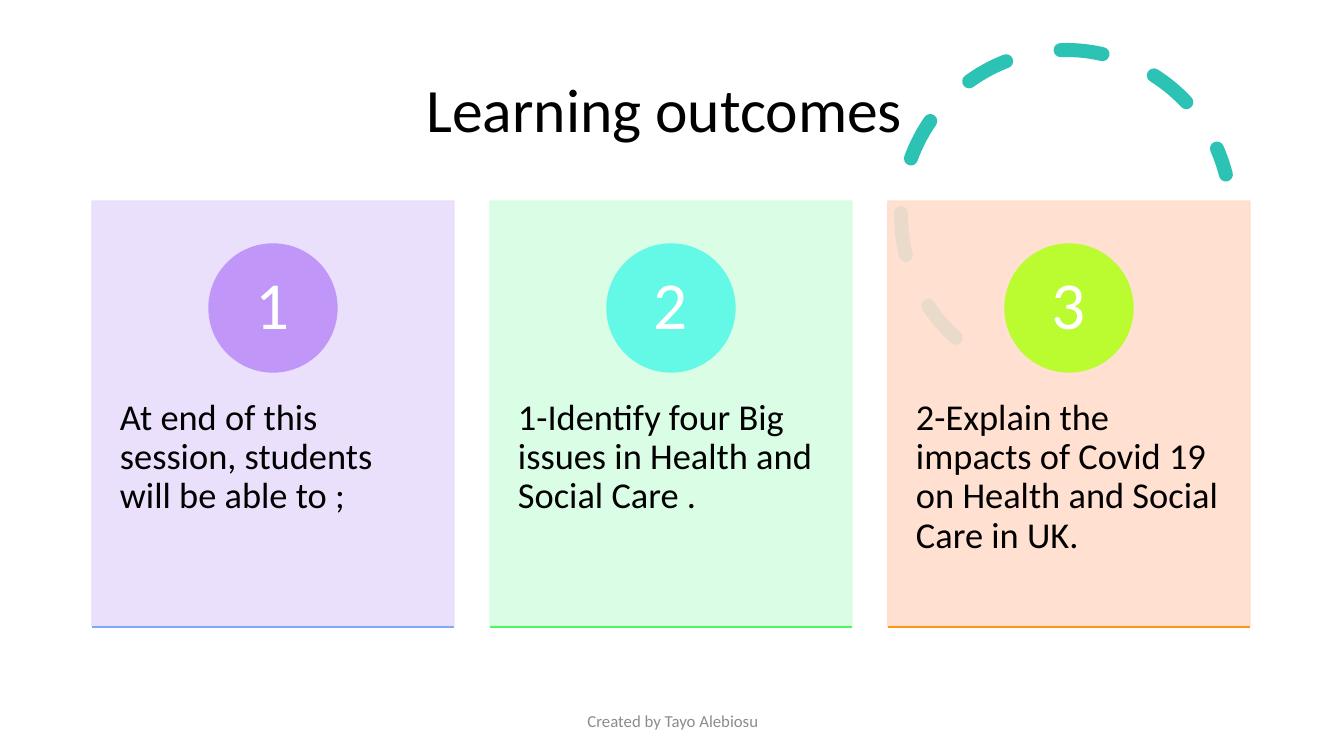
from dataclasses import dataclass

from pptx import Presentation
from pptx.dml.color import RGBColor as Rgb
from pptx.enum.dml import MSO_LINE_DASH_STYLE as Dash
from pptx.enum.shapes import MSO_CONNECTOR_TYPE as Link, MSO_SHAPE as Shape
from pptx.enum.text import MSO_VERTICAL_ANCHOR as Anchor, PP_PARAGRAPH_ALIGNMENT as Align
from pptx.oxml.ns import qn
from pptx.oxml.xmlchemy import OxmlElement as Element
from pptx.util import Pt

EMU_PER_PX = 914400 / 100.8


@dataclass(frozen=True)
class Theme:
    font: str = "Calibri"
    ink: str = "000000"
    number_ink: str = "FFFFFF"
    credit_ink: str = "8C8C8C"
    swirl: str = "2CC3B4"
    panels: tuple = ("E8DDFC", "D5FDE3", "FFDDCC")
    badges: tuple = ("C097F8", "64F9E6", "BAFC2F")
    rules: tuple = ("7EA9F8", "4AFA5C", "FF9514")
    title_size: int = 44
    number_size: int = 48
    body_size: int = 26
    credit_size: int = 12
    hairline: int = 1
    swirl_width: int = 10
    panel_alpha: int = 90


def px(count):
    return round(count * EMU_PER_PX)


def assign(target, values):
    for name, value in values.items():
        setattr(target, name, value)


class OutcomeSlide:
    """Draws the parts of the learning outcomes slide in one theme."""

    def __init__(self, deck, theme):
        self.theme = theme
        self.slide = deck.slides.add_slide(deck.slide_layouts[6])

    def stroke(self, shape, color, width):
        shape.line.fill.solid()
        shape.line.fill.fore_color.rgb = Rgb.from_string(color)
        shape.line.width = Pt(width)

    def letter(self, shape, words, size, color, align=Align.LEFT, anchor=Anchor.MIDDLE,
               inset=(10, 5), spacing=0.9):
        side, edge = map(px, inset)
        frame = shape.text_frame
        assign(frame, {"word_wrap": True, "vertical_anchor": anchor,
                       "margin_left": side, "margin_right": side,
                       "margin_top": edge, "margin_bottom": edge})
        paragraph = frame.paragraphs[0]
        assign(paragraph, {"text": words, "alignment": align, "line_spacing": spacing})
        font = paragraph.runs[0].font
        assign(font, {"name": self.theme.font, "size": Pt(size)})
        font.color.rgb = Rgb.from_string(color)

    def text(self, place, words, size, color, **layout):
        box = self.slide.shapes.add_textbox(*map(px, place))
        self.letter(box, words, size, color, **layout)

    def block(self, kind, place, color, alpha=100):
        block = self.slide.shapes.add_shape(kind, *map(px, place))
        block.shadow.inherit = False
        block.fill.solid()
        block.fill.fore_color.rgb = Rgb.from_string(color)
        self.stroke(block, color, self.theme.hairline)
        if alpha < 100:
            for tint in block.element.spPr.iter(qn("a:srgbClr")):
                opacity = Element("a:alpha")
                opacity.set("val", str(alpha * 1000))
                tint.append(opacity)
        return block

    def rule(self, left, top, width, color):
        rule = self.slide.shapes.add_connector(
            Link.STRAIGHT, *map(px, (left, top, left + width, top)))
        self.stroke(rule, color, self.theme.hairline)
        rule.element.spPr.append(Element("a:effectLst"))

    def swirl(self, place, start, turn):
        swirl = self.slide.shapes.add_shape(Shape.ARC, *map(px, place))
        swirl.shadow.inherit = False
        swirl.fill.background()
        swirl.adjustments[0] = start * 60000 / 100000
        swirl.adjustments[1] = 0
        swirl.rotation = turn
        self.stroke(swirl, self.theme.swirl, self.theme.swirl_width)
        swirl.line.dash_style = Dash.DASH
        swirl.element.spPr.find(qn("a:ln")).set("cap", "rnd")

    def card(self, left, number, outcome, panel, badge, rule):
        theme = self.theme
        width = 362
        self.block(Shape.RECTANGLE, (left, 201, width, 425), panel, theme.panel_alpha)
        self.text((left, 363, width, 255), outcome, theme.body_size, theme.ink,
                  anchor=Anchor.TOP, inset=(28, 36))
        circle = self.block(Shape.OVAL, (left + 117, 244, 128, 128), badge)
        self.letter(circle, str(number), theme.number_size, theme.number_ink,
                    align=Align.CENTER, inset=(10, 1))
        self.rule(left, 627, width, rule)


def main():
    deck = Presentation()
    assign(deck, {"slide_width": px(1344), "slide_height": px(756)})
    theme = Theme()
    page = OutcomeSlide(deck, theme)
    page.swirl((901, 50, 330, 330), 146.13, 345.8)
    page.text((92, 40, 1159, 146), "Learning outcomes ", theme.title_size, theme.ink,
              align=Align.CENTER)
    outcomes = (
        "At end of this session, students will be able to ;",
        "1-Identify four Big issues in Health and Social Care .",
        "2-Explain the impacts of Covid 19 on Health and Social Care in UK.",
    )
    cards = zip(outcomes, theme.panels, theme.badges, theme.rules)
    for index, (outcome, panel, badge, rule) in enumerate(cards):
        page.card(92 + 398 * index, index + 1, outcome, panel, badge, rule)
    page.text((446, 701, 454, 40), "Created by Tayo Alebiosu", theme.credit_size,
              theme.credit_ink, align=Align.CENTER, spacing=1.0)
    deck.save("out.pptx")


if __name__ == "__main__":
    main()
